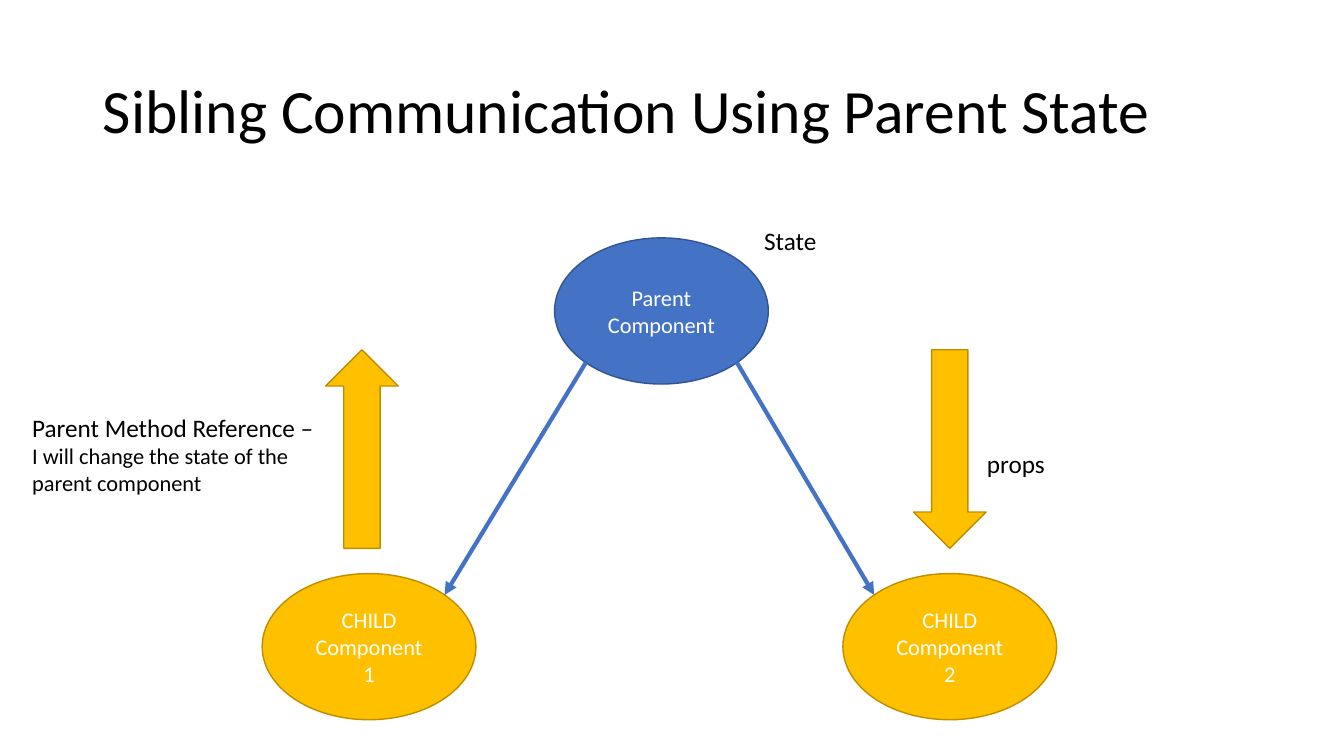
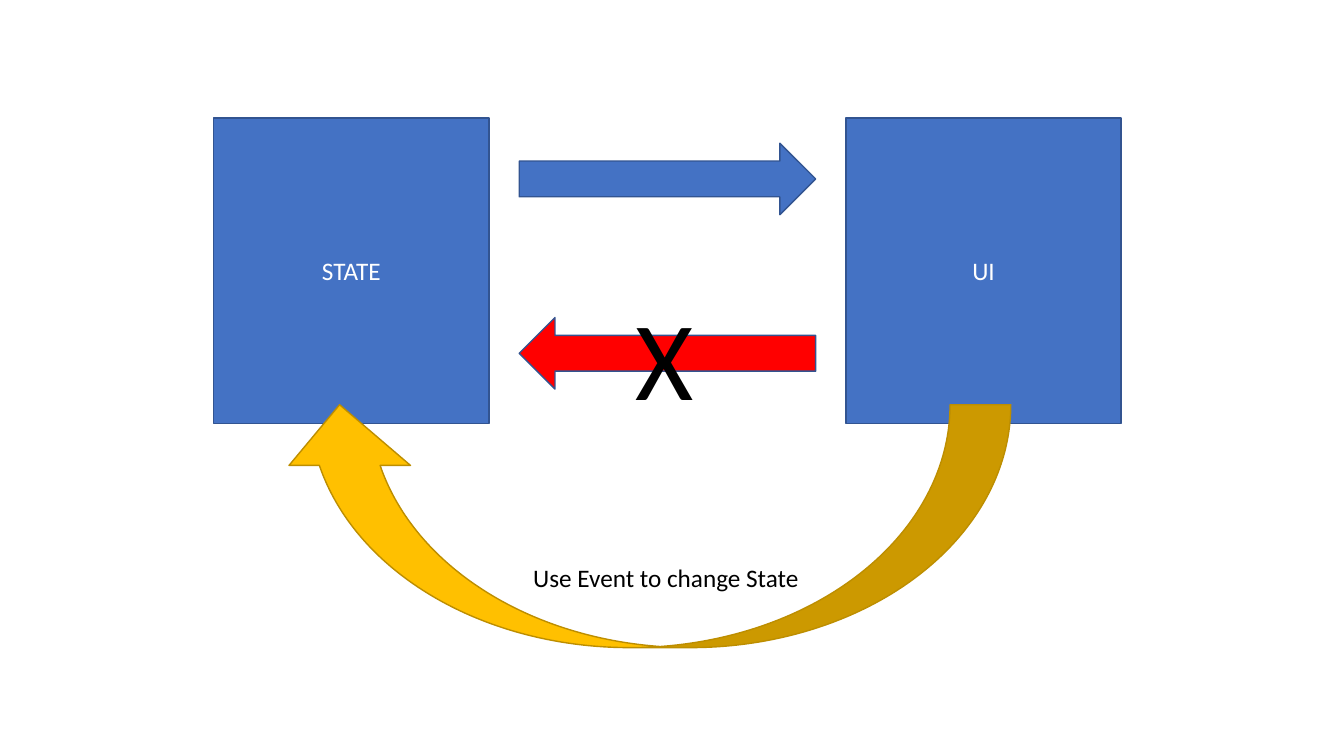
import math
from dataclasses import dataclass

from lxml import etree
from pptx import Presentation
from pptx.dml.color import RGBColor
from pptx.enum.shapes import MSO_CONNECTOR, MSO_SHAPE
from pptx.enum.text import MSO_ANCHOR, PP_ALIGN
from pptx.oxml.ns import qn
from pptx.util import Emu, Pt

PX = 9144  # EMU per px, 100 px to the inch
TITLE_ONLY, BLANK = 5, 6
OVAL, RECT = MSO_SHAPE.OVAL, MSO_SHAPE.RECTANGLE
UP, DOWN = MSO_SHAPE.UP_ARROW, MSO_SHAPE.DOWN_ARROW
LEFT, RIGHT = MSO_SHAPE.LEFT_ARROW, MSO_SHAPE.RIGHT_ARROW
CURVED = MSO_SHAPE.CURVED_LEFT_ARROW
MIDDLE, CENTER, ALIGN_LEFT = MSO_ANCHOR.MIDDLE, PP_ALIGN.CENTER, PP_ALIGN.LEFT


@dataclass(frozen=True)
class Theme:
    font: str = "Calibri"
    text: str = "000000"
    on_fill: str = "FFFFFF"
    blue: str = "4472C4"
    blue_line: str = "325491"
    gold: str = "FFC000"
    gold_line: str = "BD8E00"
    red: str = "FF0000"
    title: int = 44
    body: int = 18
    small: int = 16
    cross: int = 80
    outline: int = 1
    link: int = 3


T = Theme()
BLUE = (T.blue, T.blue_line)
GOLD = (T.gold, T.gold_line)
BLOCKED = (T.red, T.blue_line)


def px(*lengths):
    return [Emu(n * PX) for n in lengths]


def add_run(p, text, size, color=T.text):
    r = p.add_run()
    r.text = text
    r.font.name = T.font
    r.font.size = Pt(size)
    r.font.color.rgb = RGBColor.from_string(color)


def set_title(s, text):
    sp = s.shapes.title
    sp.left, sp.top, sp.width, sp.height = px(92, 40, 1150, 145)
    sp.text_frame.vertical_anchor = MIDDLE
    p = sp.text_frame.paragraphs[0]
    p.alignment = ALIGN_LEFT
    p.line_spacing = 0.9
    add_run(p, text, T.title)


def add_figure(s, kind, box, colors, lines=(), size=T.body):
    """Add a filled preset shape, with one centred paragraph per line."""
    sp = s.shapes.add_shape(kind, *px(*box))
    sp.shadow.inherit = False
    fill, line = colors
    sp.fill.solid()
    sp.fill.fore_color.rgb = RGBColor.from_string(fill)
    sp.line.color.rgb = RGBColor.from_string(line)
    sp.line.width = Pt(T.outline)
    tf = sp.text_frame
    tf.vertical_anchor = MIDDLE
    for i, text in enumerate(lines):
        p = tf.add_paragraph() if i else tf.paragraphs[0]
        p.alignment = CENTER
        add_run(p, text, size, T.on_fill)
    return sp


def add_label(s, box, *runs, wrap=False):
    """Add a text box holding one paragraph of (text, size) runs."""
    tf = s.shapes.add_textbox(*px(*box)).text_frame
    tf.word_wrap = wrap
    for text, size in runs:
        add_run(tf.paragraphs[0], text, size)


def oval_point(sp, dx, dy):
    """Return the point on an oval's diagonal; dx and dy are -1 or 1."""
    reach = math.sqrt(0.5) / 2
    return (Emu(round(sp.left + sp.width * (0.5 + dx * reach))),
            Emu(round(sp.top + sp.height * (0.5 + dy * reach))))


def link_ovals(s, parent, child, side):
    """Draw an arrow from parent to child; side is -1 for left, 1 for right."""
    line = s.shapes.add_connector(MSO_CONNECTOR.STRAIGHT,
                                  *oval_point(parent, side, 1),
                                  *oval_point(child, -side, -1))
    line.line.color.rgb = RGBColor.from_string(T.blue)
    line.line.width = Pt(T.link)
    etree.SubElement(line.line._get_or_add_ln(), qn("a:tailEnd"), type="triangle")
    etree.SubElement(line._element.spPr, qn("a:effectLst"))
    # Oval sites run anticlockwise from the top: 1, 3, 5 and 7 are diagonal.
    sites = (3, 7) if side < 0 else (5, 1)
    glue = line._element.find(".//" + qn("p:cNvCxnSpPr"))
    for tag, sp, site in zip(("a:stCxn", "a:endCxn"), (parent, child), sites):
        etree.SubElement(glue, qn(tag), id=str(sp.shape_id), idx=str(site))


def build_siblings(prs):
    s = prs.slides.add_slide(prs.slide_layouts[TITLE_ONLY])
    set_title(s, "Sibling Communication Using Parent State")
    oval = (212, 145)
    parent = add_figure(s, OVAL, (550, 236, *oval), BLUE,
                        ["Parent Component"], T.small)
    children = [add_figure(s, OVAL, (x, 569, *oval), GOLD,
                           ["CHILD Component", number], T.small)
                for x, number in ((260, "1"), (836, "2"))]
    for child, side in zip(children, (-1, 1)):
        link_ovals(s, parent, child, side)
    for kind, x in ((UP, 323), (DOWN, 906)):
        add_figure(s, kind, (x, 347, 72, 197), GOLD)
    add_label(s, (748, 219, 72, 40), ("State", T.body))
    add_label(s, (22, 404, 309, 94),
              ("Parent Method Reference – ", T.body),
              ("I will change the state of the parent component", T.small),
              wrap=True)
    add_label(s, (969, 440, 78, 40), ("props", T.body))


def build_state_flow(prs):
    s = prs.slides.add_slide(prs.slide_layouts[BLANK])
    for x, text in ((212, "STATE"), (839, "UI")):
        add_figure(s, RECT, (x, 117, 273, 303), BLUE, [text])
    for kind, y, colors in ((RIGHT, 142, BLUE), (LEFT, 315, BLOCKED)):
        add_figure(s, kind, (515, y, 294, 71), colors)
    add_label(s, (620, 281, 84, 145), ("X", T.cross), wrap=True)
    add_figure(s, CURVED, (519, 159, 241, 726), GOLD).rotation = 90
    add_label(s, (519, 553, 286, 40), ("Use Event to change State", T.body))


def main():
    prs = Presentation()
    prs.slide_width, prs.slide_height = px(1333, 750)
    build_siblings(prs)
    build_state_flow(prs)
    prs.save("out.pptx")


if __name__ == "__main__":
    main()
